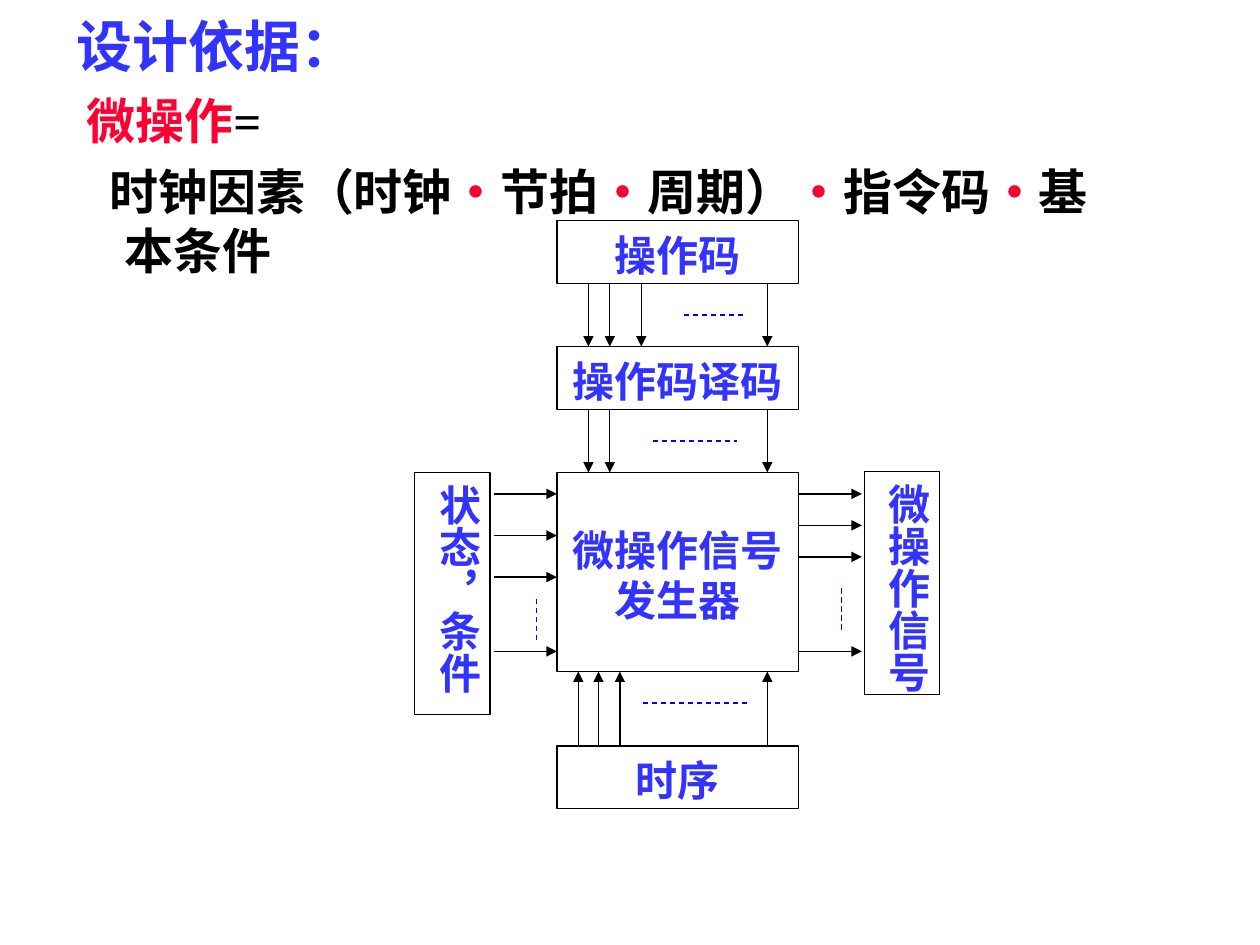
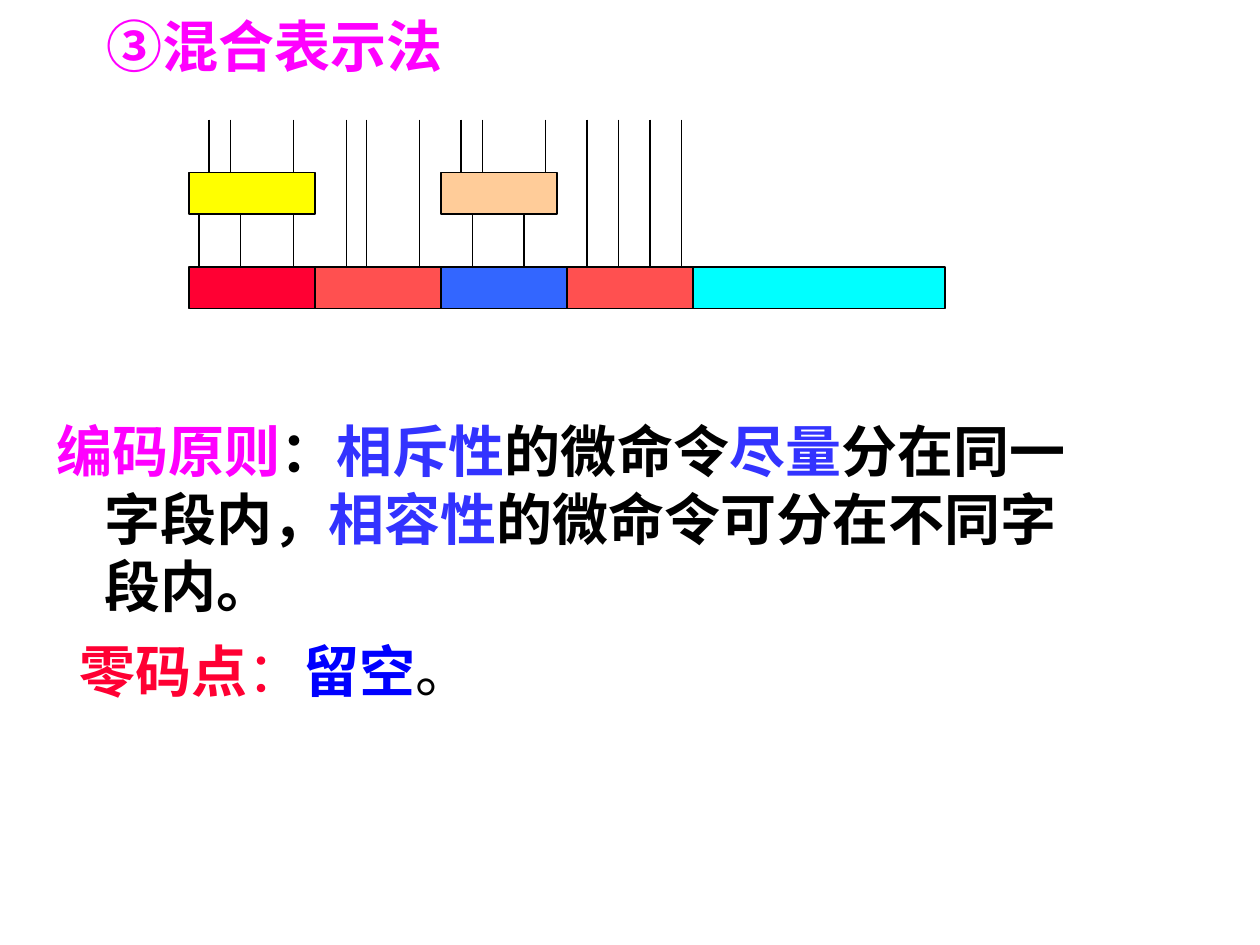
from lxml.etree import SubElement
from pptx import Presentation
from pptx.dml.color import RGBColor
from pptx.enum.dml import MSO_LINE
from pptx.enum.shapes import MSO_CONNECTOR, MSO_SHAPE
from pptx.enum.text import MSO_ANCHOR, PP_ALIGN
from pptx.oxml.ns import qn
from pptx.util import Inches, Pt

COLOURS = {
    "black": "000000", "white": "FFFFFF", "blue": "3333FF", "pure blue": "0000FF",
    "red": "FF0033", "magenta": "FF00FF", "yellow": "FFFF00", "coral": "FF5050",
    "royal": "3366FF", "cyan": "00FFFF", "peach": "FFCC99",
}
COLOURS = {name: RGBColor.from_string(value) for name, value in COLOURS.items()}
FONT = "Noto Sans CJK SC"
LATIN_FONT = "Times New Roman"


def write_paragraph(paragraph, size, runs):
    """Fill a bold paragraph with (text, colour) runs."""
    paragraph.line_spacing = Pt(size * 1.2)
    paragraph.font.size = Pt(size)
    paragraph.font.bold = True
    paragraph.font.name = FONT
    defaults = paragraph._p.get_or_add_pPr().get_or_add_defRPr()
    SubElement(defaults, qn("a:ea"), typeface=FONT)
    for text, colour in runs:
        run = paragraph.add_run()
        run.text = text
        run.font.color.rgb = COLOURS[colour]
        if text == "=":
            run.font.name = LATIN_FONT
        if text in ("：", "。") and size == 32 and runs[0][1] == "red":
            run.font.bold = False


def add_line(slide, x1, y1, x2, y2, colour="black", arrow=False, dash=False):
    line = slide.shapes.add_connector(
        MSO_CONNECTOR.STRAIGHT, Inches(x1), Inches(y1), Inches(x2), Inches(y2))
    line.line.color.rgb = COLOURS[colour]
    line.line.width = Pt(0.75)
    if dash:
        line.line.dash_style = MSO_LINE.DASH
    if arrow:
        SubElement(line.line._get_or_add_ln(), qn("a:tailEnd"), type="triangle")
    SubElement(line._element.spPr, qn("a:effectLst"))


presentation = Presentation()
presentation.slide_width = Inches(10)
presentation.slide_height = Inches(7.5)
blank = presentation.slide_layouts[6]
generator_slide = presentation.slides.add_slide(blank)
encoding_slide = presentation.slides.add_slide(blank)

# Running text: slide, left, top, width, height,
# then paragraphs of first-line indent, space before, size, runs
MARGIN = 0.38
text_blocks = [
    (generator_slide, 0.51, 0.04, 8.6, 2.3, [
        (-0.38, 0, 32, [("设计依据：", "blue")]),
        (-0.3, 7, 28, [("微操作", "red"), ("=", "black")]),
        (-0.12, 7, 28, [
            ("时钟因素（时钟", "black"), ("·", "red"), ("节拍", "black"), ("·", "red"),
            ("周期）", "black"), ("·", "red"), ("指令码", "black"), ("·", "red"),
            ("基本条件", "black")]),
    ]),
    (encoding_slide, 0.35, 0.04, 8.5, 0.65, [
        (0.02, 0, 32, [("③混合表示法", "magenta")]),
    ]),
    (encoding_slide, 0.35, 3.26, 8.5, 2.4, [
        (-0.38, 0, 32, [
            ("编码原则", "magenta"), ("：", "black"), ("相斥性", "blue"),
            ("的微命令", "black"), ("尽量", "blue"), ("分在同一字段内，", "black"),
            ("相容性", "blue"), ("的微命令可分在不同字段内。", "black")]),
        (-0.2, 10, 32, [
            ("零码点", "red"), ("：", "red"), ("留空", "pure blue"), ("。", "black")]),
    ]),
]
for slide, left, top, width, height, paragraphs in text_blocks:
    frame = slide.shapes.add_textbox(
        Inches(left), Inches(top), Inches(width), Inches(height)).text_frame
    frame.word_wrap = True
    for index, (indent, space_before, size, runs) in enumerate(paragraphs):
        paragraph = frame.add_paragraph() if index else frame.paragraphs[0]
        properties = paragraph._p.get_or_add_pPr()
        properties.set("marL", str(Inches(MARGIN)))
        properties.set("indent", str(Inches(indent)))
        paragraph.space_before = Pt(space_before)
        write_paragraph(paragraph, size, runs)

# Boxes: slide, left, top, width, height, fill, label lines, vertical text
CORE_LEFT, CORE_WIDTH = 4.42, 1.92
CORE_RIGHT = CORE_LEFT + CORE_WIDTH
DECODER_TOP, FIELD_TOP, FIELD_HEIGHT = 1.37, 2.12, 0.33
boxes = [
    (generator_slide, CORE_LEFT, top, CORE_WIDTH, height, "white", labels, False)
    for top, height, labels in [
        (1.75, 0.5, ["操作码"]),
        (2.75, 0.5, ["操作码译码"]),
        (3.75, 1.58, ["微操作信号", "发生器"]),
        (5.92, 0.5, ["时序"])]
]
boxes += [
    (generator_slide, 3.29, 3.75, 0.6, 1.92, "white", ["状态，条件"], True),
    (generator_slide, 6.86, 3.74, 0.6, 1.77, "white", ["微操作信号"], True),
]
boxes += [
    (encoding_slide, left, top, width, FIELD_HEIGHT, fill, [], False)
    for left, top, width, fill in [
        (1.5, DECODER_TOP, 1, "yellow"),
        (3.5, DECODER_TOP, 0.92, "peach"),
        (1.5, FIELD_TOP, 1, "red"),
        (2.5, FIELD_TOP, 1, "coral"),
        (3.5, FIELD_TOP, 1, "royal"),
        (4.5, FIELD_TOP, 1, "coral"),
        (5.5, FIELD_TOP, 2, "cyan")]
]
for slide, left, top, width, height, fill, labels, vertical in boxes:
    box = slide.shapes.add_shape(
        MSO_SHAPE.RECTANGLE, Inches(left), Inches(top), Inches(width), Inches(height))
    box.shadow.inherit = False
    box.fill.solid()
    box.fill.fore_color.rgb = COLOURS[fill]
    box.line.color.rgb = COLOURS["black"]
    box.line.width = Pt(0.75)
    frame = box.text_frame
    frame.word_wrap = False
    if vertical:
        frame.vertical_anchor = MSO_ANCHOR.TOP
        frame.margin_left = frame.margin_right = Inches(0.05)
        frame._txBody.bodyPr.set("vert", "eaVert")
    else:
        frame.vertical_anchor = MSO_ANCHOR.MIDDLE
        frame.margin_top = Inches(0.09)
    for index, label in enumerate(labels):
        paragraph = frame.add_paragraph() if index else frame.paragraphs[0]
        paragraph.alignment = PP_ALIGN.CENTER
        write_paragraph(paragraph, 24, [(label, "blue")])

# Signals into and out of the generator
for start, end, columns in [
        (2.25, 2.75, [4.67, 4.84, 5.09, 6.09]),
        (3.25, 3.75, [4.67, 4.84, 6.09]),
        (5.92, 5.33, [4.59, 4.75, 4.92, 6.09])]:
    for x in columns:
        add_line(generator_slide, x, start, x, end, arrow=True)
for start, rows in [
        (CORE_LEFT - 0.5, [3.92, 4.25, 4.58, 5.17]),
        (CORE_RIGHT, [3.92, 4.17, 4.42, 5.17])]:
    for y in rows:
        add_line(generator_slide, start, y, start + 0.5, y, arrow=True)

# Dashes that stand for further signals
for ends in [
        (5.43, 2.5, 5.93, 2.5), (5.18, 3.5, 5.85, 3.5), (5.1, 5.58, 5.93, 5.58),
        (4.26, 4.75, 4.26, 5.08), (6.68, 4.67, 6.68, 5)]:
    add_line(generator_slide, *ends, colour="pure blue", dash=True)

# Wires: field to decoder, decoder upward, field straight upward
WIRE_TOP = 0.95
for top, bottom, columns in [
        (DECODER_TOP + FIELD_HEIGHT, FIELD_TOP, [1.58, 1.91, 2.33, 3.75, 4.16]),
        (WIRE_TOP, DECODER_TOP, [1.66, 1.83, 2.33, 3.66, 3.83, 4.33]),
        (WIRE_TOP, FIELD_TOP, [2.75, 2.91, 3.33, 4.66, 4.91, 5.16, 5.41])]:
    for x in columns:
        add_line(encoding_slide, x, top, x, bottom)

presentation.save("out.pptx")
